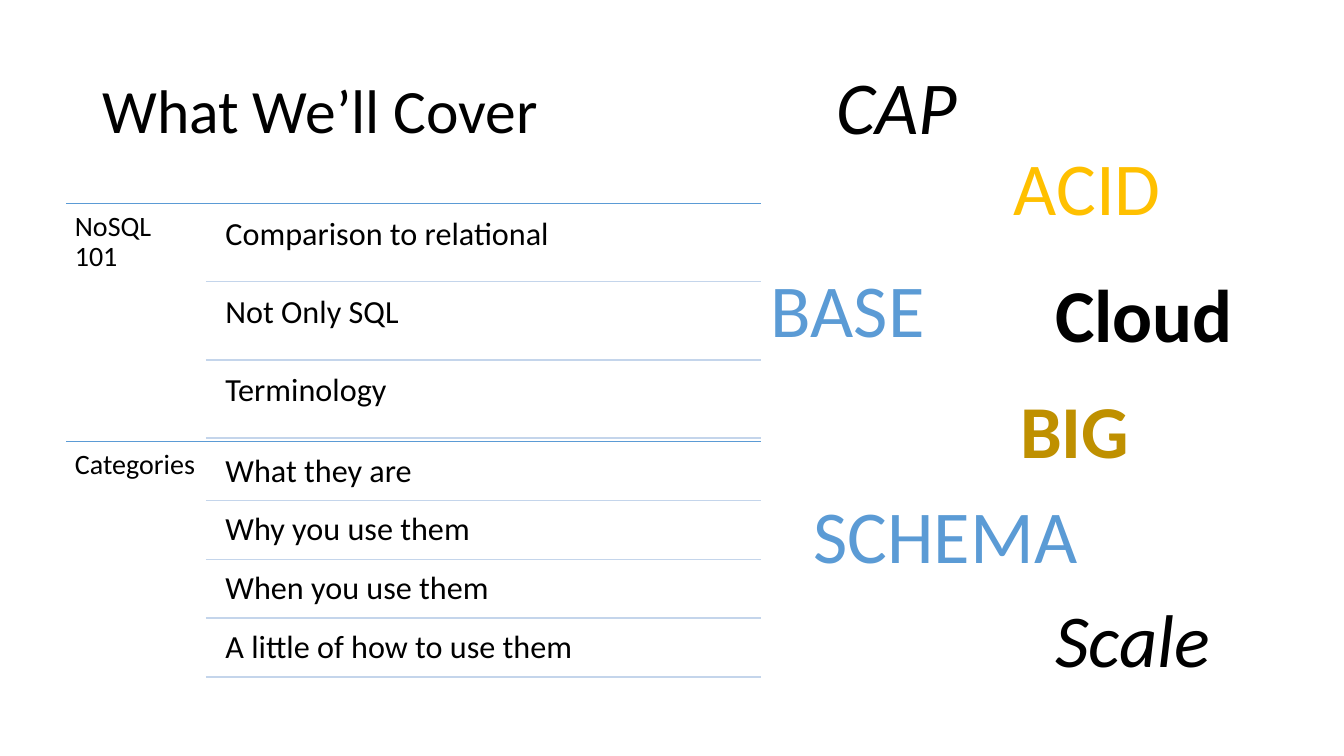
from lxml import etree
from pptx import Presentation
from pptx.dml.color import RGBColor
from pptx.enum.shapes import MSO_CONNECTOR
from pptx.enum.text import MSO_ANCHOR, MSO_AUTO_SIZE
from pptx.oxml import parse_xml
from pptx.oxml.ns import nsdecls, qn
from pptx.util import Pt

BLACK, BLUE, PALE, GOLD, BRONZE = "000000", "5B9BD5", "C4D5EB", "FFC000", "BF9000"
LEFT, ROW_LEFT, RIGHT, TOP = 47.5, 147, 543.5, 145.5
BLOCK_H, LABEL_W, TEXT_LEFT = 170, 99.5, 154
ROW_GAP = 0.05

BLOCKS = [
    ("NoSQL 101", ["Comparison to relational", "Not Only SQL", "Terminology"]),
    ("Categories", ["What they are", "Why you use them", "When you use them",
                    "A little of how to use them"]),
]
WORDS = [
    ("CAP", 590.5, 39, 193, BLACK, {"italic": True}),
    ("ACID", 717, 97, 193, GOLD, {}),
    ("BASE", 543.5, 184.5, 193, BLUE, {}),
    ("BIG", 721.5, 270.5, 193, BRONZE, {"bold": True, "outline": GOLD}),
    ("SCHEMA", 574, 345.5, 261, BLUE, {}),
    ("Cloud", 746.5, 188, 193, BLACK, {"bold": True}),
    ("Scale", 746.5, 420, 193, BLACK, {"italic": True}),
]


def rgb(value):
    return RGBColor.from_string(value)


class Deck:
    """Holds the font and the current slide, and draws text and rules on it."""

    def __init__(self, font):
        self.font = font
        self.prs = Presentation()
        self.prs.slide_width, self.prs.slide_height = Pt(960), Pt(540)
        self.s = self.prs.slides.add_slide(self.prs.slide_layouts[6])

    def text(self, text, x, y, w, h, size, color=BLACK, inset=None, spacing=0.9,
             anchor=MSO_ANCHOR.TOP, bold=False, italic=False):
        sp = self.s.shapes.add_textbox(Pt(x), Pt(y), Pt(w), Pt(h))
        tf = sp.text_frame
        tf.word_wrap, tf.vertical_anchor = True, anchor
        if inset is not None:
            tf.margin_left = tf.margin_right = Pt(inset)
            tf.margin_top = tf.margin_bottom = Pt(inset)
        p = tf.paragraphs[0]
        p.text, p.line_spacing = text, spacing
        p.font.name, p.font.size = self.font, Pt(size)
        p.font.bold, p.font.italic = bold, italic
        p.font.color.rgb = rgb(color)
        return tf

    def word(self, text, x, y, w, color, style):
        style = dict(style)
        outline = style.pop("outline", None)
        tf = self.text(text, x, y, w, 72, 53.3, color, spacing=1.0, **style)
        tf.auto_size = MSO_AUTO_SIZE.SHAPE_TO_FIT_TEXT
        if outline:
            r = tf.paragraphs[0].runs[0]
            r.font.bold = style.get("bold")
            r.font.color.rgb = rgb(color)
            r.font.fill._xPr.insert(0, parse_xml(
                f'<a:ln {nsdecls("a")} w="{Pt(1.75)}"><a:solidFill>'
                f'<a:srgbClr val="{outline}"/></a:solidFill></a:ln>'))

    def rule(self, x, y, color):
        line = self.s.shapes.add_connector(
            MSO_CONNECTOR.STRAIGHT, Pt(x), Pt(y), Pt(RIGHT), Pt(y))
        line.line.color.rgb, line.line.width = rgb(color), Pt(1)
        etree.SubElement(line._element.spPr, qn("a:effectLst"))

    def block(self, label, rows, top):
        self.rule(LEFT, top, BLUE)
        self.text(label, LEFT, top, LABEL_W, BLOCK_H, 20, inset=6)
        row_h = BLOCK_H / (len(rows) + (len(rows) + 1) * ROW_GAP)
        gap = row_h * ROW_GAP
        for i, row in enumerate(rows):
            y = top + gap + i * (row_h + gap)
            self.text(row, TEXT_LEFT, y, RIGHT - TEXT_LEFT, row_h, 23, inset=7)
            self.rule(ROW_LEFT, y + row_h, PALE)


def main():
    deck = Deck("Calibri")
    deck.text("What We’ll Cover", 66, 28.75, 828, 104.4, 44, anchor=MSO_ANCHOR.MIDDLE)
    for i, (label, rows) in enumerate(BLOCKS):
        deck.block(label, rows, TOP + i * BLOCK_H)
    for word in WORDS:
        deck.word(*word)
    deck.prs.save("out.pptx")


if __name__ == "__main__":
    main()
